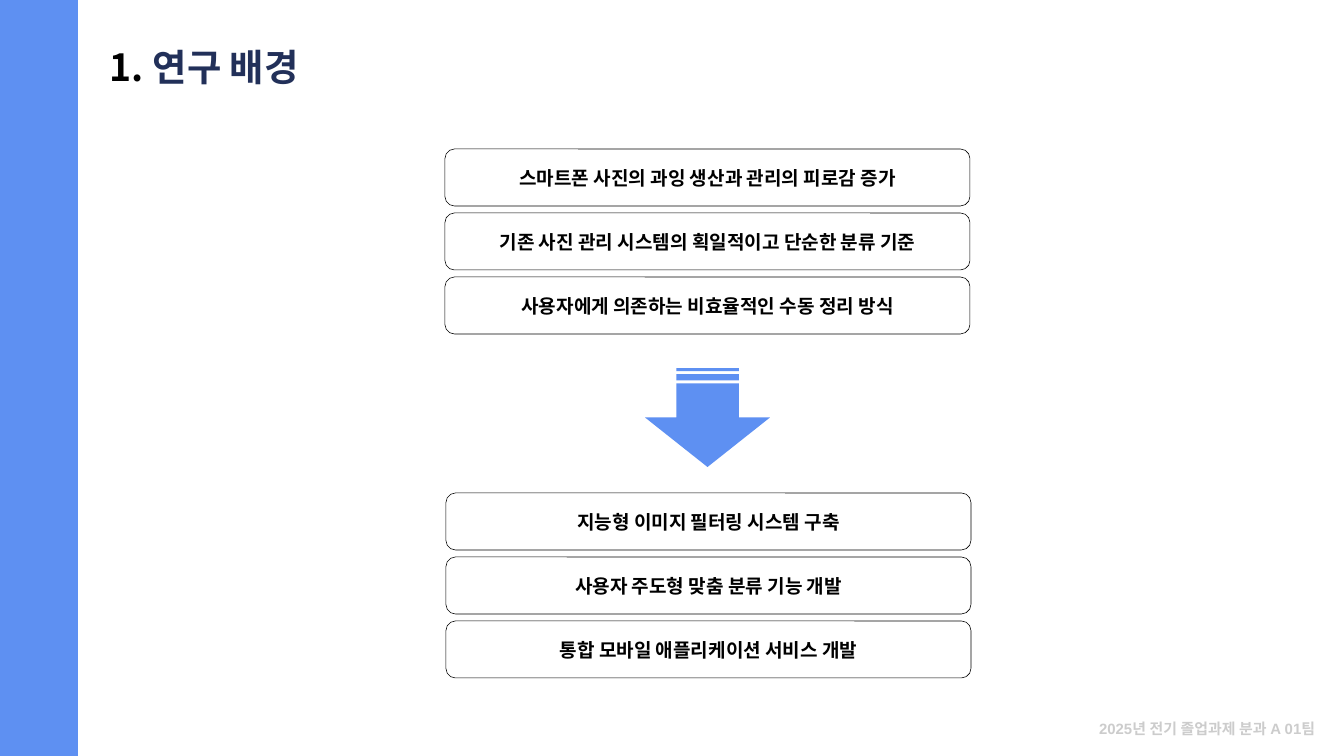
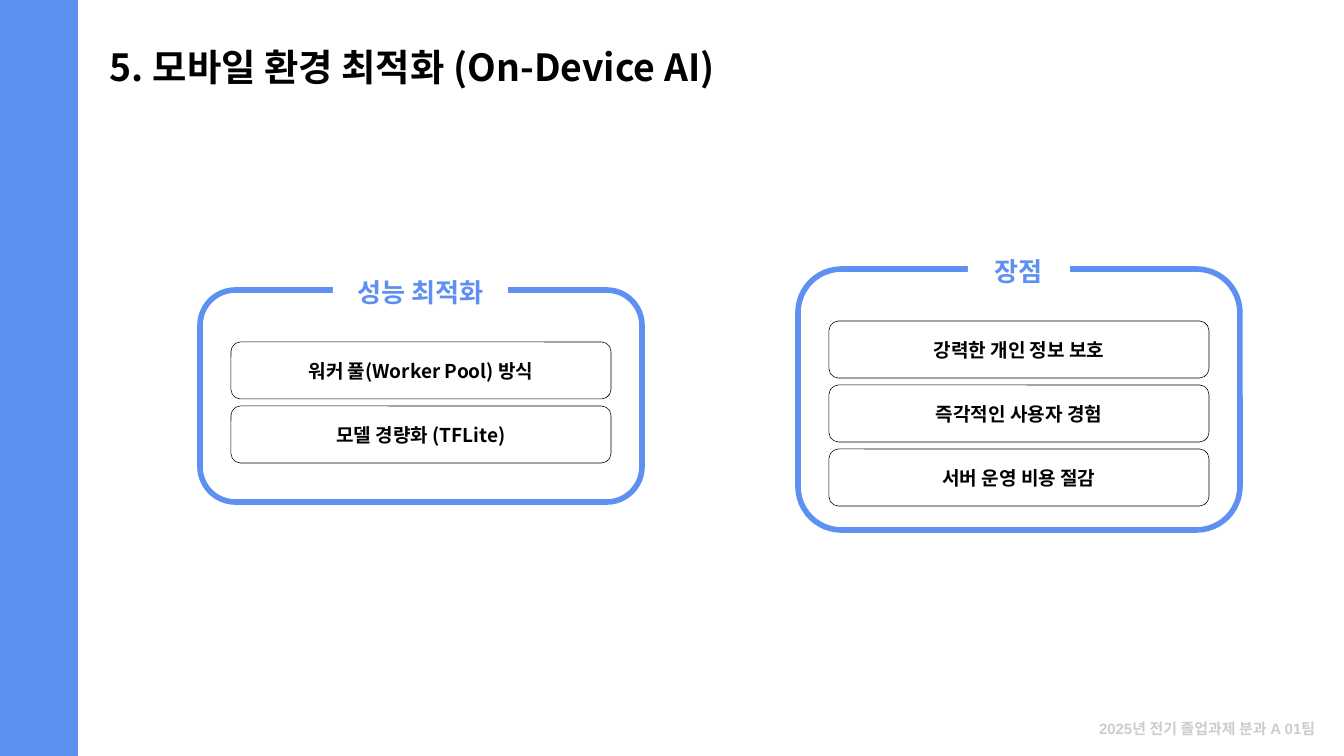
from lxml.etree import SubElement
from pptx import Presentation
from pptx.dml.color import RGBColor
from pptx.enum.shapes import MSO_SHAPE
from pptx.enum.text import MSO_ANCHOR, PP_ALIGN
from pptx.oxml.ns import qn
from pptx.util import Emu, Pt

PX = 914400 / 134.4
BLUE, NAVY, BLACK, WHITE, GREY = "5E90F2", "223059", "000000", "FFFFFF", "CCCCCC"
KOREAN = "Noto Sans CJK KR"
ROW_HEIGHT, ROW_PITCH = 57, 64


def block(slide, kind, *box, fill=None, line=None, weight=0.32):
    """Add a preset shape, or a text box if kind is None; box is in px."""
    box = [Emu(round(length * PX)) for length in box]
    if kind is None:
        return slide.shapes.add_textbox(*box)
    shape = slide.shapes.add_shape(kind, *box)
    shape.shadow.inherit = False
    if fill:
        shape.fill.solid()
        shape.fill.fore_color.rgb = RGBColor.from_string(fill)
    else:
        shape.fill.background()
    if line:
        shape.line.color.rgb = RGBColor.from_string(line)
        shape.line.width = Pt(weight)
    else:
        shape.line.fill.background()
    return shape


def write(shape, text, size=10.2, color=BLACK, font=KOREAN, inset=5,
          align=PP_ALIGN.CENTER, anchor=MSO_ANCHOR.MIDDLE):
    """Append a bold run to the shape's paragraph."""
    frame = shape.text_frame
    frame.word_wrap = True
    frame.vertical_anchor = anchor
    frame.margin_left = frame.margin_right = Emu(round(inset * PX))
    frame.margin_top = frame.margin_bottom = Emu(round(inset * PX))
    frame.paragraphs[0].alignment = align
    run = frame.paragraphs[0].add_run()
    run.text = text
    run.font.size = Pt(size)
    run.font.bold = True
    run.font.color.rgb = RGBColor.from_string(color)
    run.font.name = font
    SubElement(run.font._element, qn("a:ea"), typeface=KOREAN)


deck = Presentation()
deck.slide_width, deck.slide_height = Emu(round(1344 * PX)), Emu(round(756 * PX))

titles = [
    (274, [("1. ", BLACK), ("연구 배경", NAVY)]),
    (1246, [("5. 모바일 환경 최적화 (On-Device AI)", BLACK)]),
]
for title_width, parts in titles:
    slide = deck.slides.add_slide(deck.slide_layouts[6])
    block(slide, MSO_SHAPE.RECTANGLE, 0, 0, 78, 756, fill=BLUE)
    title = block(slide, None, 97, 21, title_width, 81)
    for text, color in parts:
        write(title, text, size=20, color=color, inset=13,
              align=PP_ALIGN.LEFT, anchor=MSO_ANCHOR.BOTTOM)
    footer = block(slide, None, 1086, 711, 388, 46)
    write(footer, "2025년 전기 졸업과제 분과 A 01팀", size=8, color=GREY, font="Arial",
          inset=13, align=PP_ALIGN.LEFT, anchor=MSO_ANCHOR.TOP)

background, optimization = deck.slides

# Problems lead down to goals
arrow = block(background, MSO_SHAPE.STRIPED_RIGHT_ARROW, 658, 355, 99, 125, fill=BLUE)
arrow.rotation = 90

problems = ["스마트폰 사진의 과잉 생산과 관리의 피로감 증가",
            "기존 사진 관리 시스템의 획일적이고 단순한 분류 기준",
            "사용자에게 의존하는 비효율적인 수동 정리 방식"]
goals = ["지능형 이미지 필터링 시스템 구축",
         "사용자 주도형 맞춤 분류 기능 개발",
         "통합 모바일 애플리케이션 서비스 개발"]
stacks = [(background, 445, 149, 525, problems), (background, 446, 493, 525, goals)]

# Framed panels whose heading interrupts the top border
panels = [
    (200, 290, 212, "성능 최적화", 175,
     ["워커 풀(Worker Pool) 방식", "모델 경량화 (TFLite)"]),
    (798, 269, 261, "장점", 102,
     ["강력한 개인 정보 보호", "즉각적인 사용자 경험", "서버 운영 비용 절감"]),
]
panel_width = 442
for left, top, height, heading, heading_width, items in panels:
    block(optimization, MSO_SHAPE.ROUNDED_RECTANGLE, left, top, panel_width, height,
          line=BLUE, weight=3)
    label = block(optimization, MSO_SHAPE.RECTANGLE,
                  left + (panel_width - heading_width) // 2, top - 21,
                  heading_width, 46, fill=WHITE)
    write(label, heading, size=14, color=BLUE, font="Calibri", inset=7,
          anchor=MSO_ANCHOR.TOP)
    stacks.append((optimization, left + 31, top + 52, 380, items))

for slide, left, top, width, items in stacks:
    for index, item in enumerate(items):
        row = block(slide, MSO_SHAPE.ROUNDED_RECTANGLE, left, top + index * ROW_PITCH,
                    width, ROW_HEIGHT, fill=WHITE, line=BLACK)
        write(row, item)

deck.save("out.pptx")
